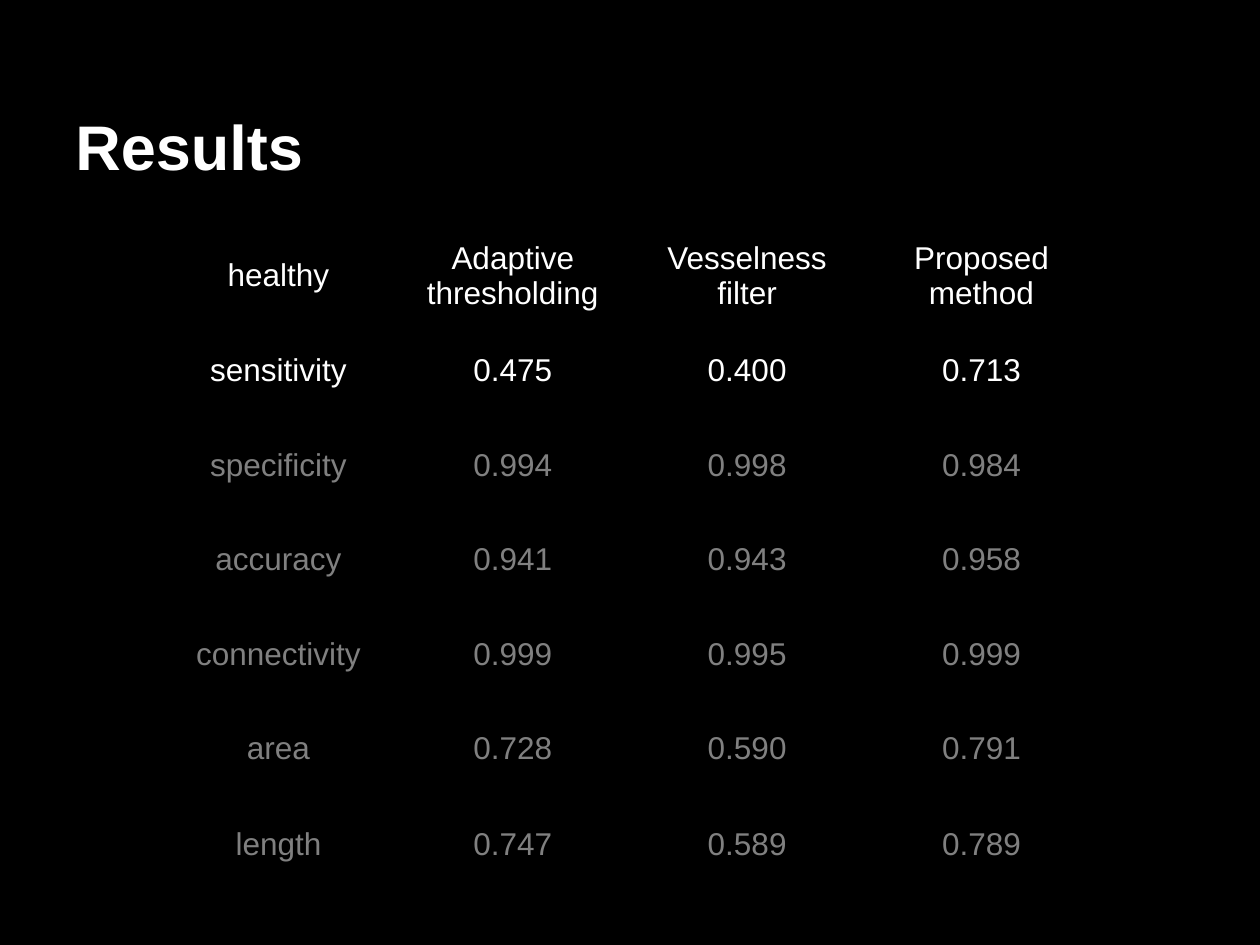
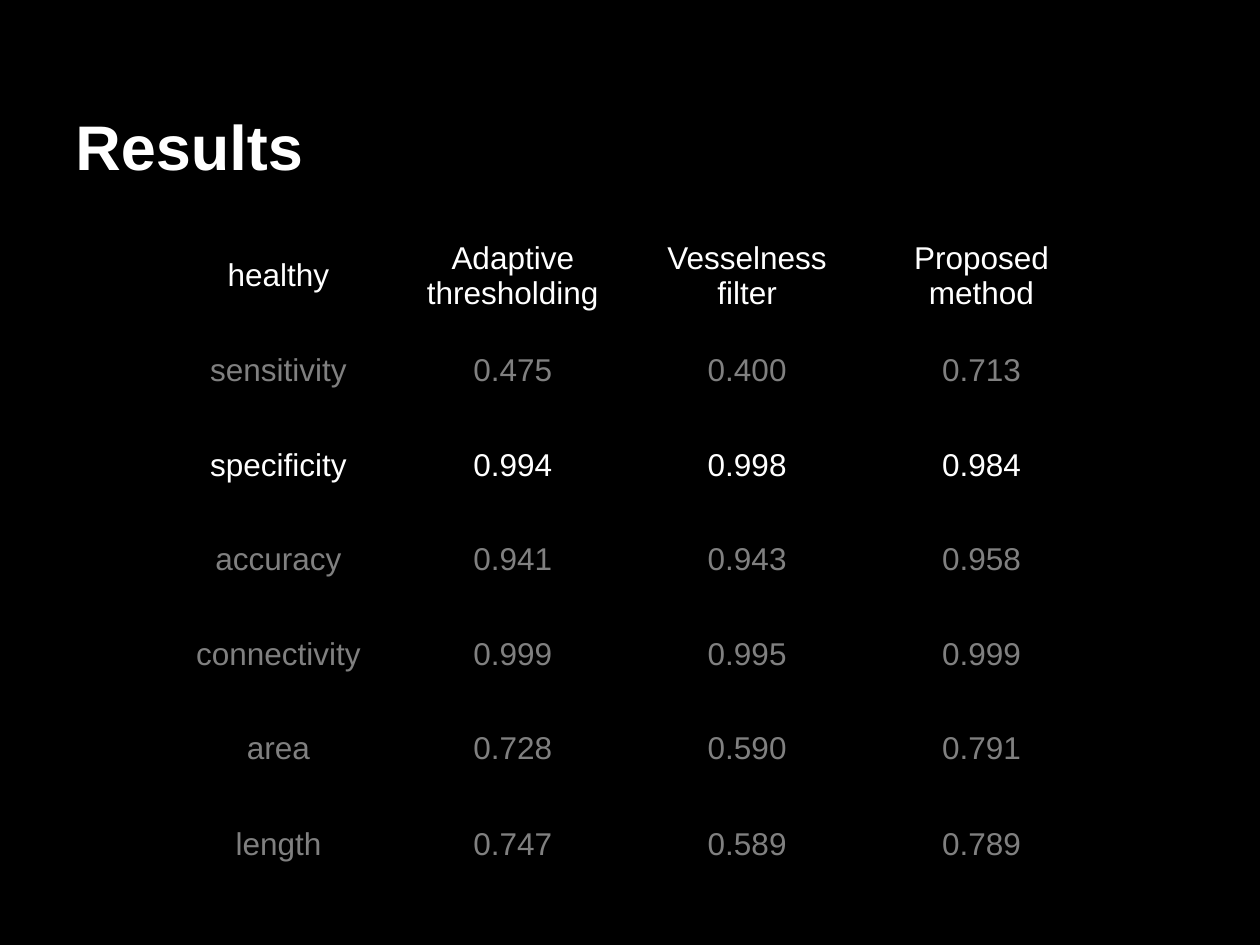
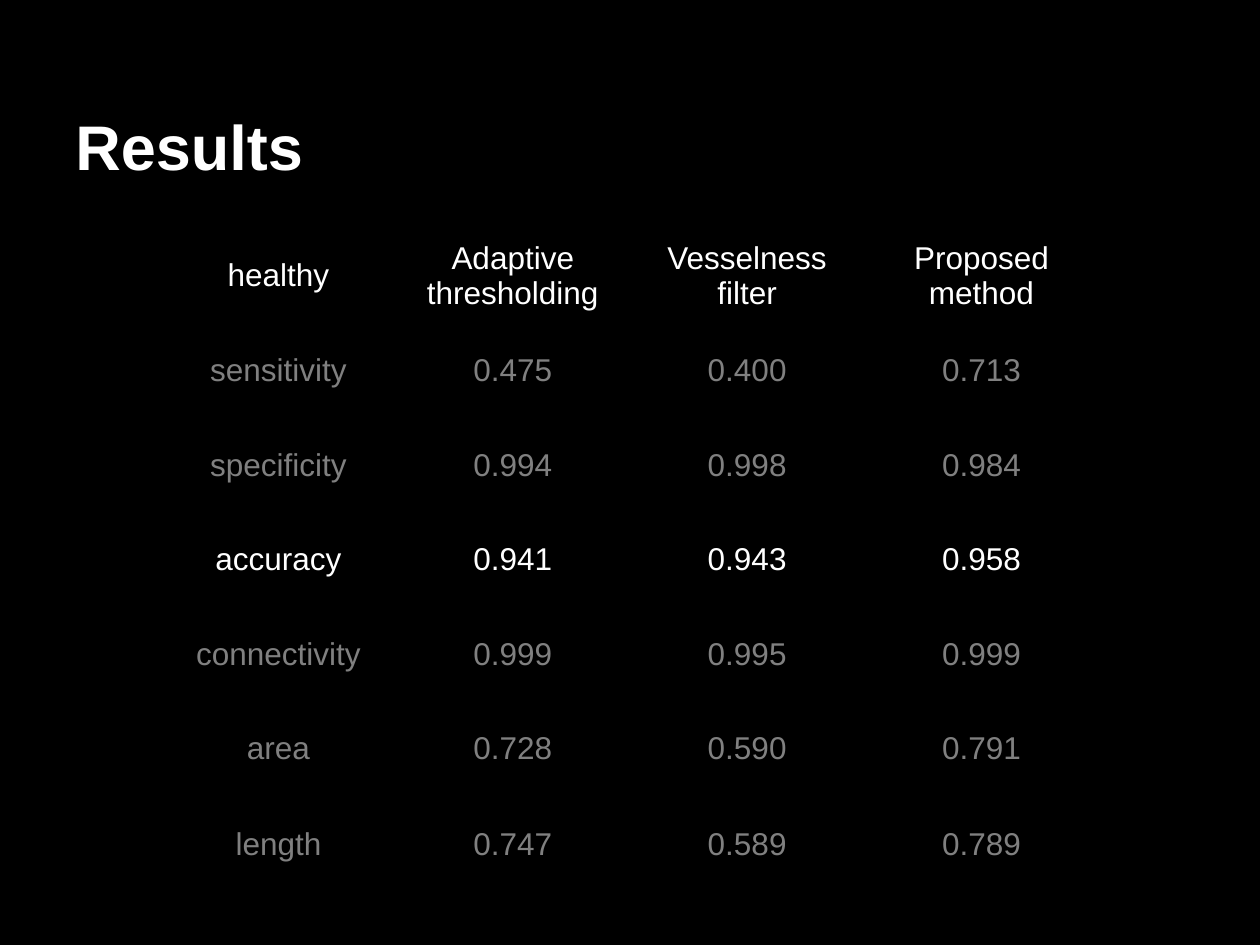
from lxml import etree
from pptx import Presentation
from pptx.dml.color import RGBColor
from pptx.enum.text import MSO_ANCHOR, PP_ALIGN
from pptx.oxml.ns import qn
from pptx.util import Inches, Pt

BOTTOM = MSO_ANCHOR.BOTTOM
MIDDLE = MSO_ANCHOR.MIDDLE
CENTER = PP_ALIGN.CENTER

BLANK_LAYOUT = 6
FONT = "Arial"
BLACK = "000000"
WHITE = "FFFFFF"
GRAY = "808080"

COLUMN_WIDTH = 1.86
ROW_HEIGHT = 0.75
OUTER_ROW_HEIGHT = 0.76

SCORES = [
    ["healthy", "Adaptive thresholding", "Vesselness filter", "Proposed method"],
    ["sensitivity", "0.475", "0.400", "0.713"],
    ["specificity", "0.994", "0.998", "0.984"],
    ["accuracy", "0.941", "0.943", "0.958"],
    ["connectivity", "0.999", "0.995", "0.999"],
    ["area", "0.728", "0.590", "0.791"],
    ["length", "0.747", "0.589", "0.789"],
]
HIGHLIGHTED_MEASURES = ["sensitivity", "specificity", "accuracy"]


def rgb(color):
    return RGBColor.from_string(color)


def style_runs(paragraph, size, color, bold=False):
    for span in paragraph.runs:
        span.font.name = FONT
        span.font.size = Pt(size)
        span.font.bold = bold
        span.font.color.rgb = rgb(color)


def add_page(deck):
    page = deck.slides.add_slide(deck.slide_layouts[BLANK_LAYOUT])
    page.background.fill.solid()
    page.background.fill.fore_color.rgb = rgb(BLACK)
    return page


def add_title(page, text):
    box = page.shapes.add_textbox(Inches(0.5), Inches(0.1), Inches(9), Inches(1.45))
    frame = box.text_frame
    frame.word_wrap = True
    frame.vertical_anchor = BOTTOM
    frame.margin_left = frame.margin_right = Inches(0.1)
    frame.margin_top = frame.margin_bottom = Inches(0.1)
    frame.text = text
    style_runs(frame.paragraphs[0], 36, WHITE, bold=True)


def clear_cell(cell):
    """Remove the borders and the fill that the table style gives a cell."""
    properties = cell._tc.get_or_add_tcPr()
    for side in ("a:lnL", "a:lnR", "a:lnT", "a:lnB"):
        border = etree.SubElement(properties, qn(side))
        etree.SubElement(border, qn("a:noFill"))
    cell.fill.background()


def fill_cell(cell, text, color):
    clear_cell(cell)
    cell.vertical_anchor = MIDDLE
    cell.margin_left = cell.margin_right = Inches(0.04)
    cell.margin_top = cell.margin_bottom = Inches(0.05)
    cell.text_frame.text = text
    paragraph = cell.text_frame.paragraphs[0]
    paragraph.alignment = CENTER
    style_runs(paragraph, 18, color)


def add_score_table(page, highlighted):
    """Show all scores in gray, except the header and the highlighted measure."""
    row_count, column_count = len(SCORES), len(SCORES[0])
    table = page.shapes.add_table(
        row_count, column_count, Inches(1.28), Inches(1.81),
        Inches(column_count * COLUMN_WIDTH),
        Inches((row_count - 2) * ROW_HEIGHT + 2 * OUTER_ROW_HEIGHT),
    ).table
    table.first_row = False
    table.horz_banding = False
    for column in table.columns:
        column.width = Inches(COLUMN_WIDTH)
    for index, values in enumerate(SCORES):
        is_outer = index in (0, row_count - 1)
        table.rows[index].height = Inches(OUTER_ROW_HEIGHT if is_outer else ROW_HEIGHT)
        color = WHITE if index == 0 or values[0] == highlighted else GRAY
        for cell, text in zip(table.rows[index].cells, values):
            fill_cell(cell, text, color)


def main():
    deck = Presentation()
    deck.slide_width = Inches(10)
    deck.slide_height = Inches(7.5)
    for measure in HIGHLIGHTED_MEASURES:
        page = add_page(deck)
        add_title(page, "Results")
        add_score_table(page, measure)
    deck.save("out.pptx")


if __name__ == "__main__":
    main()
